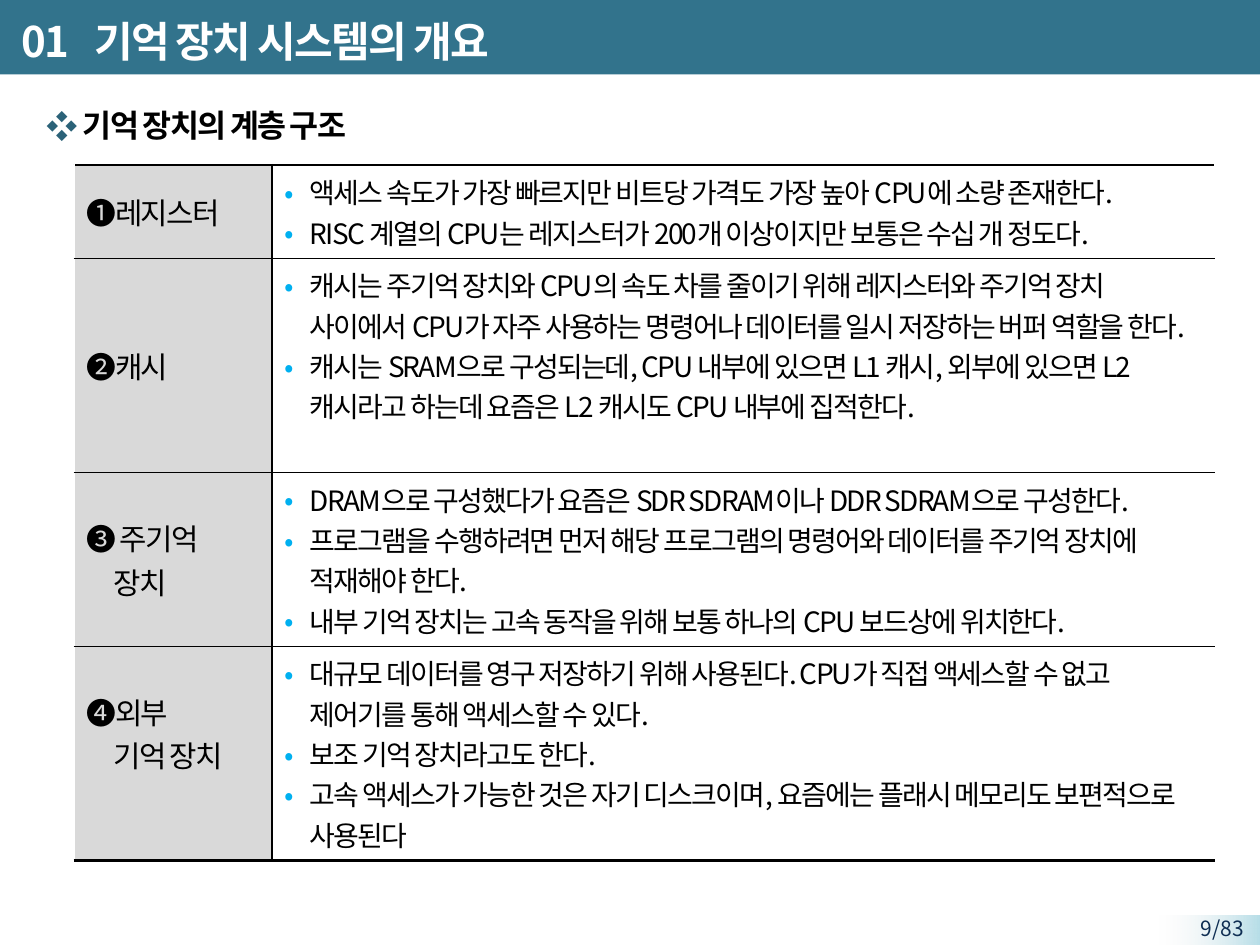
import dataclasses

import lxml.etree
import pptx
import pptx.dml.color
import pptx.enum.shapes
import pptx.enum.text
import pptx.oxml.ns
import pptx.util

Inches = pptx.util.Inches
Pt = pptx.util.Pt
qn = pptx.oxml.ns.qn
Anchor = pptx.enum.text.MSO_ANCHOR
Align = pptx.enum.text.PP_ALIGN


@dataclasses.dataclass(frozen=True)
class Theme:
    font: str = "Noto Sans CJK KR"
    band: str = "32738C"
    footer_start: str = "B7DEE8"
    footer_end: str = "F2F2F2"
    page_number: str = "0F2E53"
    heading_bullet: str = "2B6278"
    bullet: str = "00B0F0"
    label_fill: str = "D9D9D9"
    black: str = "000000"
    white: str = "FFFFFF"
    title_size: float = 24
    heading_size: float = 18
    label_size: float = 17
    body_size: float = 16
    page_size: float = 12
    outer_line: float = 1.5
    inner_line: float = 1


def rgb(value):
    return pptx.dml.color.RGBColor.from_string(value)


def add_child(parent, tag, **attributes):
    return lxml.etree.SubElement(parent, qn(tag), attributes)


class SlideBuilder:
    def __init__(self, slide, theme):
        self.slide = slide
        self.theme = theme

    def bar(self, left, top, width, height):
        bar = self.slide.shapes.add_shape(
            pptx.enum.shapes.MSO_SHAPE.RECTANGLE,
            Inches(left), Inches(top), Inches(width), Inches(height))
        bar.shadow.inherit = False
        bar.line.fill.background()
        return bar

    def solid_bar(self, *place, color):
        bar = self.bar(*place)
        bar.fill.solid()
        bar.fill.fore_color.rgb = rgb(color)

    def fading_bar(self, *place, start, end):
        bar = self.bar(*place)
        bar.fill.gradient()
        bar.fill.gradient_angle = 180
        for stop, color in zip(bar.fill.gradient_stops, (start, end)):
            stop.color.rgb = rgb(color)
        last_color = bar.fill._fill._gradFill.findall(".//" + qn("a:srgbClr"))[-1]
        add_child(last_color, "a:alpha", val="0")

    def text_box(self, left, top, width, height, anchor=Anchor.TOP):
        box = self.slide.shapes.add_textbox(
            Inches(left), Inches(top), Inches(width), Inches(height))
        box.text_frame.word_wrap = True
        box.text_frame.vertical_anchor = anchor
        return box.text_frame.paragraphs[0]

    def span(self, para, text, size, color, bold=False, spacing=-1):
        span = para.add_run()
        span.text = text
        span.font.size = Pt(size)
        span.font.bold = bold
        span.font.color.rgb = rgb(color)
        span.font.name = self.theme.font
        properties = span._r.get_or_add_rPr()
        properties.set("spc", str(spacing * 100))
        add_child(properties, "a:ea", typeface=self.theme.font)

    def indent(self, para, left, first=0):
        properties = para._p.get_or_add_pPr()
        properties.set("marL", str(Inches(left)))
        properties.set("indent", str(Inches(first)))
        return properties

    def bullet(self, para, symbol, color, left, hanging):
        properties = self.indent(para, left, -hanging)
        add_child(add_child(properties, "a:buClr"), "a:srgbClr", val=color)
        add_child(properties, "a:buFont", typeface=self.theme.font)
        add_child(properties, "a:buChar", char=symbol)

    def tab_stop(self, para, position):
        stops = add_child(para._p.get_or_add_pPr(), "a:tabLst")
        add_child(stops, "a:tab", pos=str(Inches(position)), algn="l")

    def borders(self, cell, left, right, top, bottom):
        properties = cell._tc.get_or_add_tcPr()
        sides = zip(("a:lnL", "a:lnR", "a:lnT", "a:lnB"), (left, right, top, bottom))
        for position, (tag, (color, width)) in enumerate(sides):
            line = add_child(properties, tag, w=str(Pt(width)))
            add_child(add_child(line, "a:solidFill"), "a:srgbClr", val=color)
            properties.insert(position, line)

    def paragraphs(self, cell, texts):
        frame = cell.text_frame
        for number, text in enumerate(texts):
            yield number, frame.add_paragraph() if number else frame.paragraphs[0], text

    def label_cell(self, cell, lines):
        theme = self.theme
        cell.vertical_anchor = Anchor.MIDDLE
        cell.fill.solid()
        cell.fill.fore_color.rgb = rgb(theme.label_fill)
        for number, para, text in self.paragraphs(cell, lines):
            if number:
                self.indent(para, 0.21)
            self.span(para, text, theme.label_size, theme.black)

    def detail_cell(self, cell, items):
        theme = self.theme
        cell.fill.background()
        for _, para, text in self.paragraphs(cell, items):
            self.bullet(para, "•", theme.bullet, 0.2, 0.2)
            self.span(para, text, theme.body_size, theme.black)

    def table(self, left, top, widths, rows):
        theme = self.theme
        heights = [height for height, _, _ in rows]
        frame = self.slide.shapes.add_table(
            len(rows), len(widths), Inches(left), Inches(top),
            Inches(sum(widths)), Inches(sum(heights)))
        table = frame.table
        table.first_row = False
        table.horz_banding = False
        for column, width in zip(table.columns, widths):
            column.width = Inches(width)
        outer = (theme.black, theme.outer_line)
        inner = (theme.black, theme.inner_line)
        side = (theme.white, theme.inner_line)
        for index, (height, labels, items) in enumerate(rows):
            table.rows[index].height = Inches(height)
            label, detail = table.cell(index, 0), table.cell(index, 1)
            self.label_cell(label, labels)
            self.detail_cell(detail, items)
            upper = outer if index == 0 else inner
            lower = outer if index == len(rows) - 1 else inner
            self.borders(label, side, inner, upper, lower)
            self.borders(detail, inner, side, upper, lower)
        return table


MEMORY_LEVELS = [
    (0.74, ["➊레지스터"], [
        "액세스 속도가 가장 빠르지만 비트당 가격도 가장 높아 CPU에 소량 존재한다.",
        "RISC 계열의 CPU는 레지스터가 200개 이상이지만 보통은 수십 개 정도다."]),
    (1.7, ["➋캐시"], [
        "캐시는 주기억 장치와 CPU의 속도 차를 줄이기 위해 레지스터와 주기억 장치 사이에서 CPU가 자주 사용하는 명령어나 데이터를 일시 저장하는 버퍼 역할을 한다.",
        "캐시는 SRAM으로 구성되는데, CPU 내부에 있으면 L1 캐시, 외부에 있으면 L2 캐시라고 하는데 요즘은 L2 캐시도 CPU 내부에 집적한다."]),
    (1.38, ["➌ 주기억", "장치"], [
        "DRAM으로 구성했다가 요즘은 SDR SDRAM이나 DDR SDRAM으로 구성한다.",
        "프로그램을 수행하려면 먼저 해당 프로그램의 명령어와 데이터를 주기억 장치에 적재해야 한다.",
        "내부 기억 장치는 고속 동작을 위해 보통 하나의 CPU 보드상에 위치한다."]),
    (1.7, ["➍외부", "기억 장치"], [
        "대규모 데이터를 영구 저장하기 위해 사용된다. CPU가 직접 액세스할 수 없고 제어기를 통해 액세스할 수 있다.",
        "보조 기억 장치라고도 한다.",
        "고속 액세스가 가능한 것은 자기 디스크이며, 요즘에는 플래시 메모리도 보편적으로 사용된다"]),
]


def main():
    theme = Theme()
    deck = pptx.Presentation()
    deck.slide_width = Inches(10)
    deck.slide_height = Inches(7.5)
    page = SlideBuilder(deck.slides.add_slide(deck.slide_layouts[6]), theme)

    page.solid_bar(0, -0.02, 10, 0.61, color=theme.band)
    page.fading_bar(9.2, 7.27, 0.8, 0.24, start=theme.footer_start, end=theme.footer_end)

    number = page.text_box(9.05, 7.22, 0.92, 0.23)
    number.alignment = Align.RIGHT
    page.span(number, "9/83", theme.page_size, theme.page_number, spacing=0)

    title = page.text_box(0.07, 0.06, 8.51, 0.52, Anchor.MIDDLE)
    page.tab_stop(title, 0.58)
    page.span(title, "01\t기억 장치 시스템의 개요", theme.title_size, theme.white, bold=True)

    heading = page.text_box(0.07, 0.76, 9.8, 6.2)
    heading.line_spacing = 1.1
    heading.space_after = Pt(6)
    page.bullet(heading, "❖", theme.heading_bullet, 0.49, 0.29)
    page.span(heading, "기억 장치의 계층 구조", theme.heading_size, theme.black, bold=True)

    levels = page.table(0.59, 1.31, [1.57, 7.48], MEMORY_LEVELS)
    levels.cell(3, 0).margin_bottom = Inches(0.38)
    deck.save("out.pptx")


if __name__ == "__main__":
    main()
